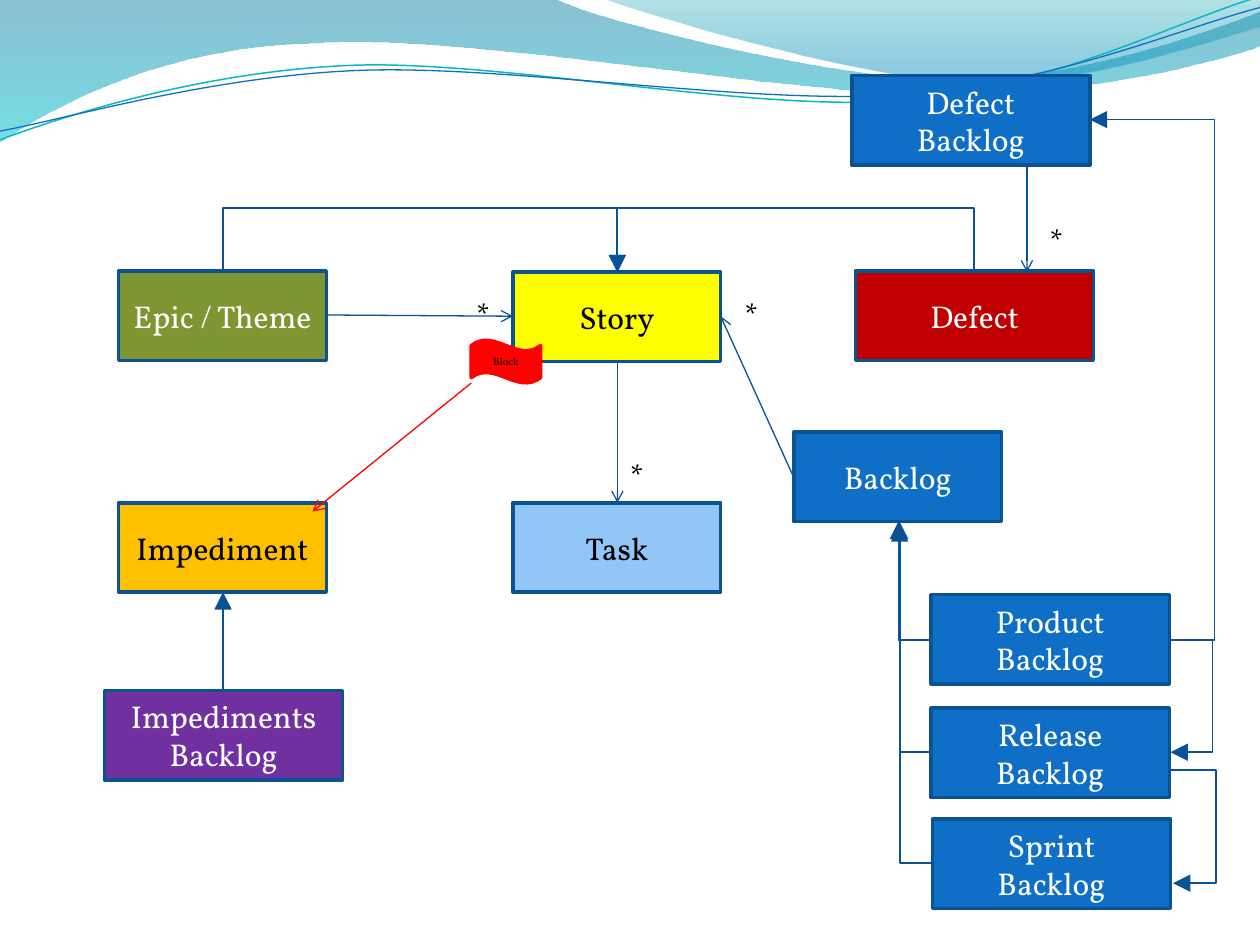
from dataclasses import dataclass
from math import cos, radians, sin
from typing import NamedTuple, Optional

from lxml import etree
from pptx import Presentation
from pptx import util as u
from pptx.dml.color import RGBColor
from pptx.enum import shapes, text
from pptx.oxml.ns import qn


@dataclass(frozen=True)
class Theme:
    font: str = "Vollkorn"
    size: float = 18
    small: float = 6
    white: str = "FFFFFF"
    black: str = "000000"
    ink: str = "0D0D0D"
    blue: str = "0F6FC6"
    edge: str = "0B5292"
    link: str = "095295"
    teal: str = "0AB8BF"
    green: str = "7E9632"
    yellow: str = "FFFF00"
    sky: str = "91C6F7"
    purple: str = "7030A0"
    amber: str = "FFC000"
    red: str = "FF0000"
    dark: str = "C00000"
    border: float = 2
    thin: float = 0.75
    thick: float = 1


T = Theme()
SLIM, WIDE, HIGH = 1.65, 1.89, 0.71


class Box(NamedTuple):
    label: str
    left: float
    top: float
    wide: float
    fill: str
    ink: str = T.white
    high: float = HIGH
    edge: str = T.edge
    size: float = T.size
    kind: shapes.MSO_SHAPE = shapes.MSO_SHAPE.RECTANGLE


class Link(NamedTuple):
    start: tuple
    end: tuple
    color: str = T.link
    width: float = T.thin
    head: str = "arrow"
    scale: str = "med"


class Elbow(NamedTuple):
    """A bent link; turn is its first heading, lane the coordinate of its middle leg."""
    start: tuple
    end: tuple
    turn: int
    lane: Optional[float] = None


class Stop(NamedTuple):
    place: float
    color: str
    alpha: int


class Swoosh(NamedTuple):
    """Each leg is one point (straight) or three (Bezier)."""
    start: tuple
    legs: list
    stops: tuple = ()
    color: str = T.blue
    width: float = T.thin


SWOOSHES = [
    Swoosh((-0.01, -0.01), [
        [(4.4, -0.01)],
        [(4.76, 0.17), (6.64, 0.63), (7.58, 0.63)],
        [(8.53, 0.63), (9.58, 0.26), (10, 0.09)],
        [(10.01, 0.36)],
        [(9.83, 0.44), (8.7, 0.76), (7.46, 0.75)],
        [(6.22, 0.75), (3.82, 0.28), (2.57, 0.34)],
        [(1.29, 0.36), (0.46, 0.83), (-0.01, 1.13)],
    ], (Stop(0, "0074A1", 45), Stop(1, "00C6CF", 55))),
    Swoosh((4.79, -0.01), [
        [(5.09, 0.11), (6.82, 0.62), (7.69, 0.65)],
        [(8.56, 0.69), (9.61, 0.32), (10, 0.21)],
        [(10, -0.01)],
    ], (Stop(0, "00A1A9", 30), Stop(0.8, "008BBF", 45))),
    Swoosh((0, 1.11), [
        [(0.48, 0.93), (1.58, 0.57), (2.77, 0.52)],
        [(3.95, 0.47), (5.93, 0.89), (7.13, 0.8)],
        [(8.33, 0.71), (9.38, 0.15), (9.98, -0.02)],
    ], color=T.teal, width=0.85),
    Swoosh((0, 1.04), [
        [(0.47, 0.96), (1.64, 0.61), (2.83, 0.56)],
        [(4.03, 0.51), (5.97, 0.84), (7.17, 0.75)],
        [(8.36, 0.67), (9.41, 0.21), (10, 0.06)],
    ]),
]

BOXES = [
    Box("Epic / Theme", 0.94, 2.15, SLIM, T.green),
    Box("Story", 4.07, 2.16, SLIM, T.yellow, T.black),
    Box("Task", 4.07, 3.99, SLIM, T.sky, T.black),
    Box("Backlog", 6.3, 3.43, SLIM, T.blue),
    Box("Product Backlog", 7.39, 4.72, WIDE, T.blue),
    Box("Release\nBacklog", 7.39, 5.62, WIDE, T.blue),
    Box("Sprint\nBacklog", 7.4, 6.5, WIDE, T.blue),
    Box("Impediments\nBacklog", 0.83, 5.48, WIDE, T.purple),
    Box("Impediment", 0.94, 3.99, SLIM, T.amber, T.black),
    Box("Block", 3.74, 2.7, 0.55, T.red, T.ink, 0.34, T.red, T.small,
        shapes.MSO_SHAPE.WAVE),
    Box("Defect", 6.79, 2.15, WIDE, T.dark),
    Box("Defect\vBacklog", 6.76, 0.6, WIDE, T.blue),
]

LINKS = [
    Link((6.3, 3.79), (5.72, 2.51)),
    Link((2.6, 2.5), (4.07, 2.51)),
    Link((4.9, 2.87), (4.9, 3.99)),
    Link((8.15, 1.31), (8.15, 2.16)),
    Link((3.74, 3.04), (2.48, 4.06), T.red),
    Link((1.77, 5.48), (1.77, 4.7), T.link, T.thick, "triangle", "lg"),
]

ELBOWS = [
    Elbow((1.77, 2.15), (4.9, 2.16), 270, 1.64),
    Elbow((7.73, 2.15), (4.9, 2.16), 270, 1.64),
    Elbow((7.39, 5.08), (7.13, 4.14), 180),
    Elbow((7.39, 5.97), (7.14, 4.14), 180),
    Elbow((7.4, 6.85), (7.14, 4.16), 180),
    Elbow((9.28, 5.08), (9.29, 5.97), 0, 9.63),
    Elbow((9.29, 6.11), (9.31, 7.01), 0, 9.65),
    Elbow((9.28, 5.08), (8.65, 0.95), 0, 9.64),
]

STARS = [(5.81, 2.3), (3.68, 2.3), (4.9, 3.58), (8.23, 1.71)]


def rgb(code: str) -> RGBColor:
    return RGBColor.from_string(code)


def curve(shape, legs: list) -> None:
    """Join the three straight steps of each Bezier leg into one curve."""
    steps = iter(list(shape._element.iter(qn("a:lnTo"))))
    for leg in legs:
        first, *rest = [next(steps) for _ in leg]
        if rest:
            bend = etree.Element(qn("a:cubicBezTo"))
            first.addprevious(bend)
            for step in (first, *rest):
                bend.append(step[0])
                step.getparent().remove(step)


def draw_swoosh(slide, item: Swoosh) -> None:
    dots = [(u.Inches(x), u.Inches(y))
            for x, y in (item.start, *(dot for leg in item.legs for dot in leg))]
    pen = slide.shapes.build_freeform(*dots[0])
    pen.add_line_segments(dots[1:], close=bool(item.stops))
    shape = pen.convert_to_shape()
    curve(shape, item.legs)
    shape.shadow.inherit = False
    if not item.stops:
        shape.fill.background()
        shape.line.color.rgb = rgb(item.color)
        shape.line.width = u.Pt(item.width)
        return
    shape.line.fill.background()
    shape.fill.gradient()
    shape.fill.gradient_angle = 270
    for stop, want in zip(shape.fill.gradient_stops, item.stops):
        stop.position, stop.color.rgb = want.place, rgb(want.color)
    for tag, want in zip(shape._element.iter(qn("a:srgbClr")), item.stops):
        etree.SubElement(tag, qn("a:alpha"), val=str(want.alpha * 1000))


def write(frame, words: str, size: float, ink: str, align=None) -> None:
    frame.text = words
    for para in frame.paragraphs:
        para.alignment = align
        para.font.name, para.font.size = T.font, u.Pt(size)
        para.font.color.rgb = rgb(ink)


def draw_box(slide, box: Box) -> None:
    shape = slide.shapes.add_shape(
        box.kind, *map(u.Inches, (box.left, box.top, box.wide, box.high)))
    shape.shadow.inherit = False
    shape.fill.solid()
    shape.fill.fore_color.rgb = rgb(box.fill)
    shape.line.color.rgb = rgb(box.edge)
    shape.line.width = u.Pt(T.border)
    shape.text_frame.vertical_anchor = text.MSO_ANCHOR.MIDDLE
    write(shape.text_frame, box.label, box.size, box.ink, text.PP_ALIGN.CENTER)


def draw_link(slide, link: Link, kind=shapes.MSO_CONNECTOR.STRAIGHT):
    line = slide.shapes.add_connector(kind, *map(u.Inches, link.start + link.end))
    line.line.color.rgb = rgb(link.color)
    line.line.width = u.Pt(link.width)
    props = line._element.spPr
    etree.SubElement(props.find(qn("a:ln")), qn("a:tailEnd"),
                     type=link.head, w=link.scale, len=link.scale)
    etree.SubElement(props, qn("a:effectLst"))
    return props


def draw_elbow(slide, item: Elbow) -> None:
    """Lay the link out unturned about its centre, then turn it."""
    (x1, y1), (x2, y2) = item.start, item.end
    mx, my, dx, dy = (x1 + x2) / 2, (y1 + y2) / 2, (x2 - x1) / 2, (y2 - y1) / 2
    c, s = cos(radians(item.turn)), sin(radians(item.turn))
    h, v = dx * c + dy * s, dy * c - dx * s
    flat = Link((mx - h, my - v), (mx + h, my + v), T.link, T.thick, "triangle", "lg")
    props = draw_link(slide, flat, shapes.MSO_CONNECTOR.ELBOW)
    if item.turn:
        props.find(qn("a:xfrm")).set("rot", str(item.turn * 60000))
    shape = props.find(qn("a:prstGeom"))
    if item.lane is None:
        shape.set("prst", "bentConnector2")
        return
    axis = 1 if item.turn == 270 else 0
    bend = (item.lane - item.start[axis]) / (item.end[axis] - item.start[axis])
    etree.SubElement(shape.find(qn("a:avLst")), qn("a:gd"),
                     name="adj1", fmla=f"val {round(bend * 100000)}")


def draw_star(slide, left: float, top: float) -> None:
    frame = slide.shapes.add_textbox(
        *map(u.Inches, (left, top, 0.31, 0.4))).text_frame
    frame.word_wrap = False
    write(frame, "*", T.size, T.black)


def main() -> None:
    deck = Presentation()
    deck.slide_width, deck.slide_height = u.Inches(10), u.Inches(7.5)
    slide = deck.slides.add_slide(deck.slide_layouts[6])
    for draw, items in ((draw_swoosh, SWOOSHES), (draw_box, BOXES),
                        (draw_link, LINKS), (draw_elbow, ELBOWS)):
        for item in items:
            draw(slide, item)
    for spot in STARS:
        draw_star(slide, *spot)
    deck.save("out.pptx")


if __name__ == "__main__":
    main()
